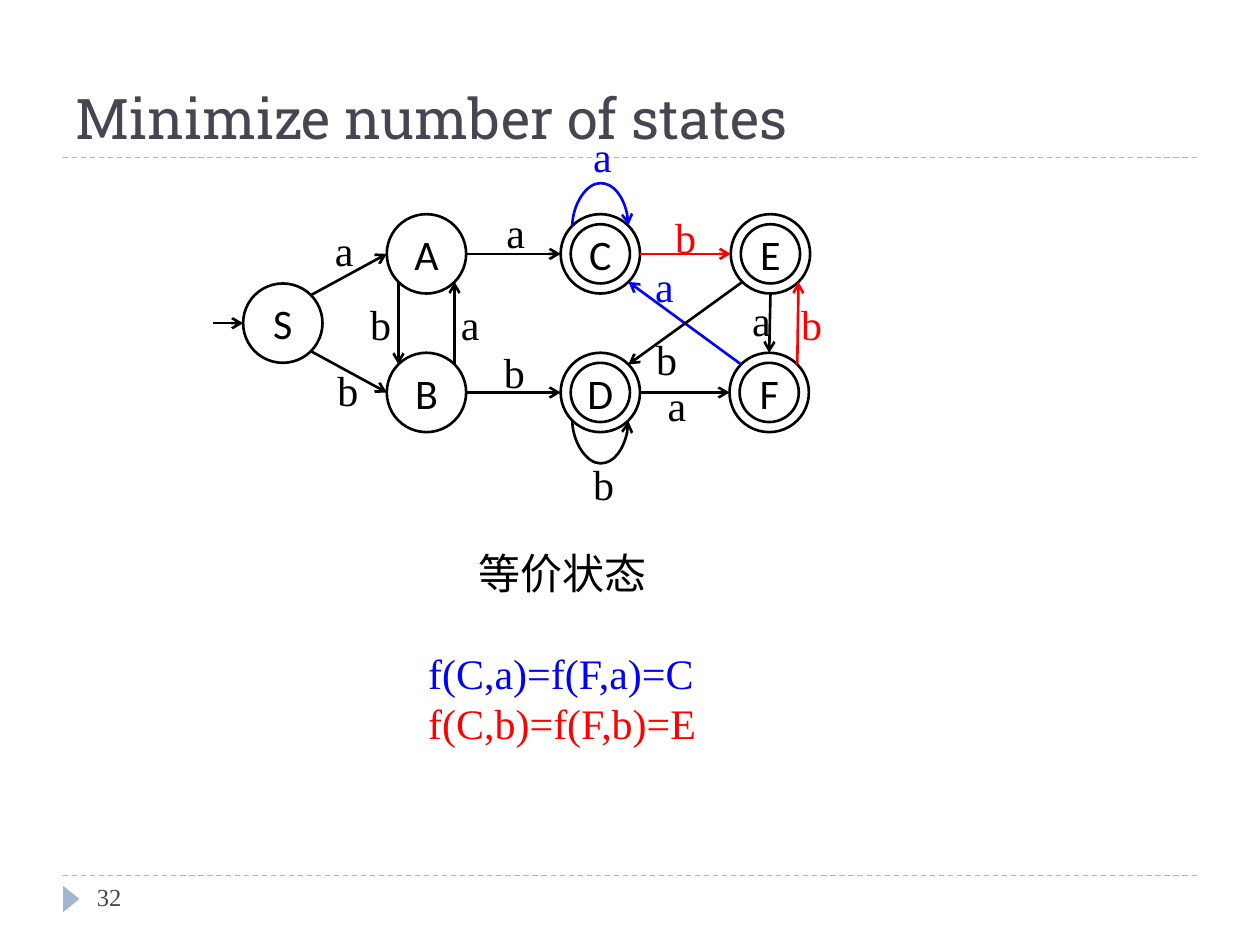
from math import cos, sin, radians
from lxml.etree import SubElement
from pptx import Presentation
from pptx.dml.color import RGBColor
from pptx.enum.dml import MSO_LINE
from pptx.enum.shapes import MSO_CONNECTOR, MSO_SHAPE
from pptx.enum.text import MSO_ANCHOR, MSO_AUTO_SIZE, PP_ALIGN
from pptx.oxml.ns import qn
from pptx.util import Inches, Pt

THEME = {
    "black": "000000", "blue": "0000FF", "red": "FF0000",
    "title": "464653", "accent": "9FB8CD",
    "head": "Roboto Slab", "node": "Calibri", "body": "Times New Roman",
    "title_size": 32, "size": 24, "number_size": 14,
    "line": 1.5, "rule": 0.75,
}

TITLE = "Minimize number of states"
NUMBER = "32"
RADIUS, INNER = 0.315, 0.235
TOP, MIDDLE, BOTTOM = 2.015, 2.565, 3.115

STATES = {
    "S": (2.245, MIDDLE), "A": (3.385, TOP), "B": (3.385, BOTTOM),
    "C": (4.765, TOP), "D": (4.765, BOTTOM),
    "E": (6.115, TOP), "F": (6.105, BOTTOM),
}
FINAL = "CDEF"
PORTS = {"e": 0, "se": 45, "s": 90, "sw": 135, "w": 180, "nw": 225, "n": 270, "ne": 315}

EDGES = [
    ("C", "e", "E", "w", "red"), ("D", "e", "F", "w", "black"),
    ("E", "s", "F", "n", "black"), ("A", "e", "C", "w", "black"),
    ("B", "e", "D", "w", "black"), ("B", "ne", "A", "se", "black"),
    ("A", "sw", "B", "nw", "black"), ("S", "ne", "A", "w", "black"),
    ("S", "se", "B", "w", "black"), ("F", "nw", "C", "se", "blue"),
    ("E", "sw", "D", "ne", "black"), ("F", "ne", "E", "se", "red"),
]
LOOPS = [("C", -1, "blue"), ("D", 1, "black")]
LOOP_DEPTH, LOOP_WIDTH = 0.35, 0.01

LABELS = [
    ("a", 3.92, 1.59, "black"), ("b", 3.9, 2.7, "black"), ("a", 3.56, 2.32, "black"),
    ("a", 2.56, 1.73, "black"), ("b", 2.58, 2.84, "black"), ("b", 2.84, 2.32, "black"),
    ("a", 4.61, 0.99, "blue"), ("b", 4.61, 3.59, "black"), ("b", 5.26, 1.63, "red"),
    ("a", 5.1, 2.02, "blue"), ("a", 5.87, 2.29, "black"), ("b", 6.26, 2.32, "red"),
    ("b", 5.11, 2.6, "black"), ("a", 5.2, 2.96, "black"),
]
LABEL_WIDTH = {"a": 0.35, "b": 0.37}
HEADING = [("等价状态", "black")]
FORMULAS = [("f(C,a)=f(F,a)=C", "blue"), ("f(C,b)=f(F,b)=E", "red")]


def color(name):
    return RGBColor.from_string(THEME[name])


def set_attrs(obj, values):
    for name, value in values.items():
        setattr(obj, name, value)


def write(p, text, font, size, ink):
    r = p.add_run()
    r.text = text
    set_attrs(r.font, {"name": THEME[font], "size": Pt(THEME[size])})
    r.font.color.rgb = color(ink)


def text_box(s, lines, box, size="size", ink=None):
    tf = s.shapes.add_textbox(*map(Inches, box)).text_frame
    set_attrs(tf, {"word_wrap": False, "auto_size": MSO_AUTO_SIZE.SHAPE_TO_FIT_TEXT})
    for i, (text, name) in enumerate(lines):
        p = tf.add_paragraph() if i else tf.paragraphs[0]
        write(p, text, "body", size, name)


def connector(s, start, end, ink, kind=MSO_CONNECTOR.STRAIGHT, width="line", arrow=True):
    c = s.shapes.add_connector(kind, *map(Inches, (*start, *end)))
    c.line.color.rgb = color(ink)
    c.line.width = Pt(THEME[width])
    if arrow:
        SubElement(c.line._get_or_add_ln(), qn("a:tailEnd"), type="arrow")
    SubElement(c._element.spPr, qn("a:effectLst"))
    return c


def circle(s, center, radius):
    x, y = center
    sp = s.shapes.add_shape(MSO_SHAPE.OVAL, *map(
        Inches, (x - radius, y - radius, 2 * radius, 2 * radius)))
    sp.shadow.inherit = False
    sp.fill.background()
    sp.line.color.rgb = color("black")
    sp.line.width = Pt(THEME["line"])
    return sp


def port(state, side):
    x, y = STATES[state]
    angle = radians(PORTS[side])
    return x + RADIUS * cos(angle), y + RADIUS * sin(angle)


def loop(s, state, way, ink):
    x, y = STATES[state]
    reach = RADIUS * sin(radians(45))
    y += way * reach
    half = LOOP_WIDTH / 2
    c = connector(s, (x - half, y + way * reach), (x + half, y - way * reach),
                  ink, MSO_CONNECTOR.CURVE)
    c._element.spPr.find(qn("a:xfrm")).set("rot", str((90 if way > 0 else 270) * 60000))
    geom = c._element.spPr.find(qn("a:prstGeom"))
    guides = geom.find(qn("a:avLst"))
    if guides is None:
        guides = SubElement(geom, qn("a:avLst"))
    value = round(LOOP_DEPTH / LOOP_WIDTH * 100000)
    SubElement(guides, qn("a:gd"), name="adj1", fmla=f"val {value}")


def frame(s):
    for y in (6.95, 1.25):
        c = connector(s, (0.5, y), (9.5, y), "accent", width="rule", arrow=False)
        c.line.dash_style = MSO_LINE.DASH
    sp = s.shapes.add_shape(MSO_SHAPE.ISOSCELES_TRIANGLE,
                            *map(Inches, (0.46, 7.07, 0.21, 0.13)))
    sp.rotation = 90
    sp.shadow.inherit = False
    sp.fill.solid()
    sp.fill.fore_color.rgb = color("accent")
    sp.line.fill.background()
    title = s.shapes.title
    set_attrs(title, dict(zip(("left", "top", "width", "height"),
                              map(Inches, (0.5, 0.17, 9, 1.08)))))
    tf = title.text_frame
    set_attrs(tf, {"vertical_anchor": MSO_ANCHOR.BOTTOM, "word_wrap": True})
    p = tf.paragraphs[0]
    p.alignment = PP_ALIGN.LEFT
    write(p, TITLE, "head", "title_size", "title")
    text_box(s, [(NUMBER, "title")], (0.67, 6.95, 2.17, 0.4), "number_size")


def automaton(s):
    for name, center in STATES.items():
        tf = circle(s, center, RADIUS).text_frame
        set_attrs(tf, {"vertical_anchor": MSO_ANCHOR.MIDDLE, "word_wrap": False})
        p = tf.paragraphs[0]
        p.alignment = PP_ALIGN.CENTER
        write(p, name, "node", "size", "black")
    for source, out, target, into, ink in EDGES:
        connector(s, port(source, out), port(target, into), ink)
    for state, way, ink in LOOPS:
        loop(s, state, way, ink)
    for name in FINAL:
        circle(s, STATES[name], INNER)
    connector(s, (1.69, MIDDLE), port("S", "w"), "black")
    for text, x, y, ink in LABELS:
        text_box(s, [(text, ink)], (x, y, LABEL_WIDTH[text], 0.5))


def main():
    prs = Presentation()
    set_attrs(prs, {"slide_width": Inches(10), "slide_height": Inches(7.5)})
    s = prs.slides.add_slide(prs.slide_layouts[5])
    frame(s)
    automaton(s)
    text_box(s, HEADING, (3.7, 4.3, 1.53, 0.5))
    text_box(s, FORMULAS, (3.3, 5.09, 2.33, 0.91))
    prs.save("out.pptx")


if __name__ == "__main__":
    main()
